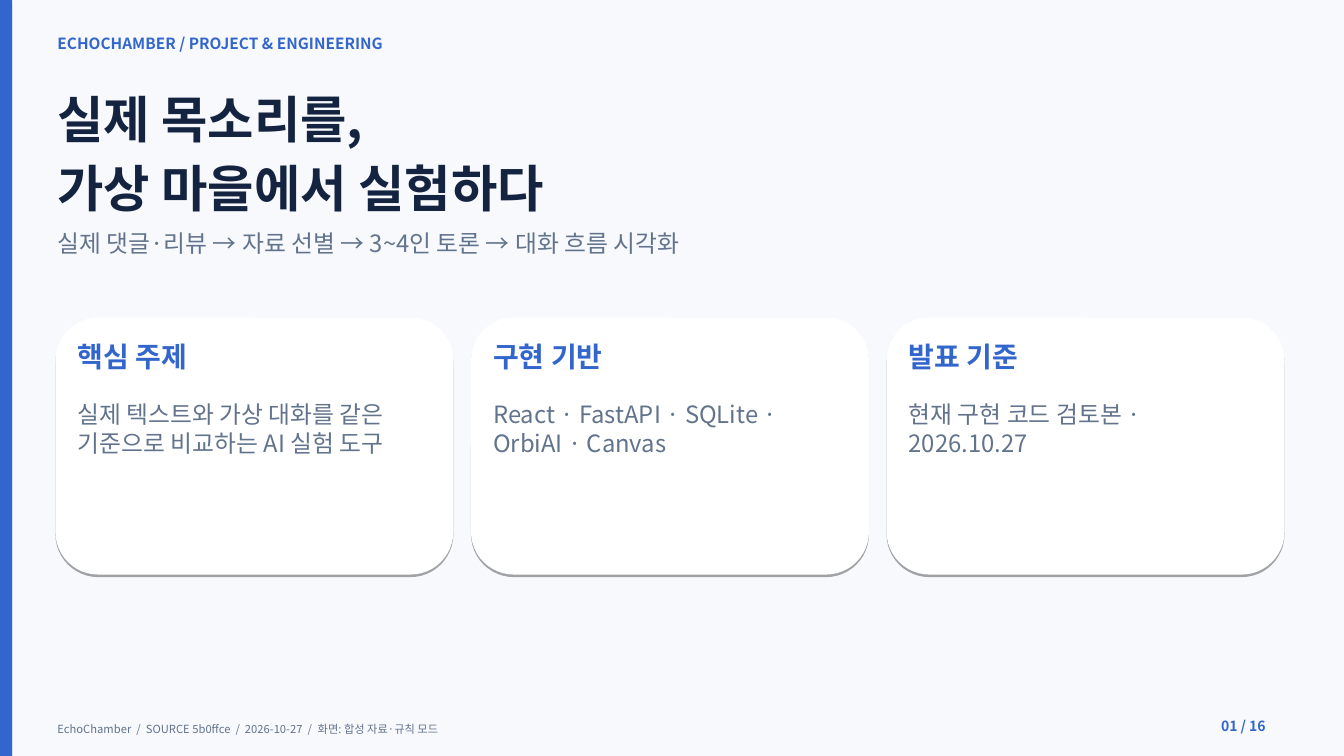
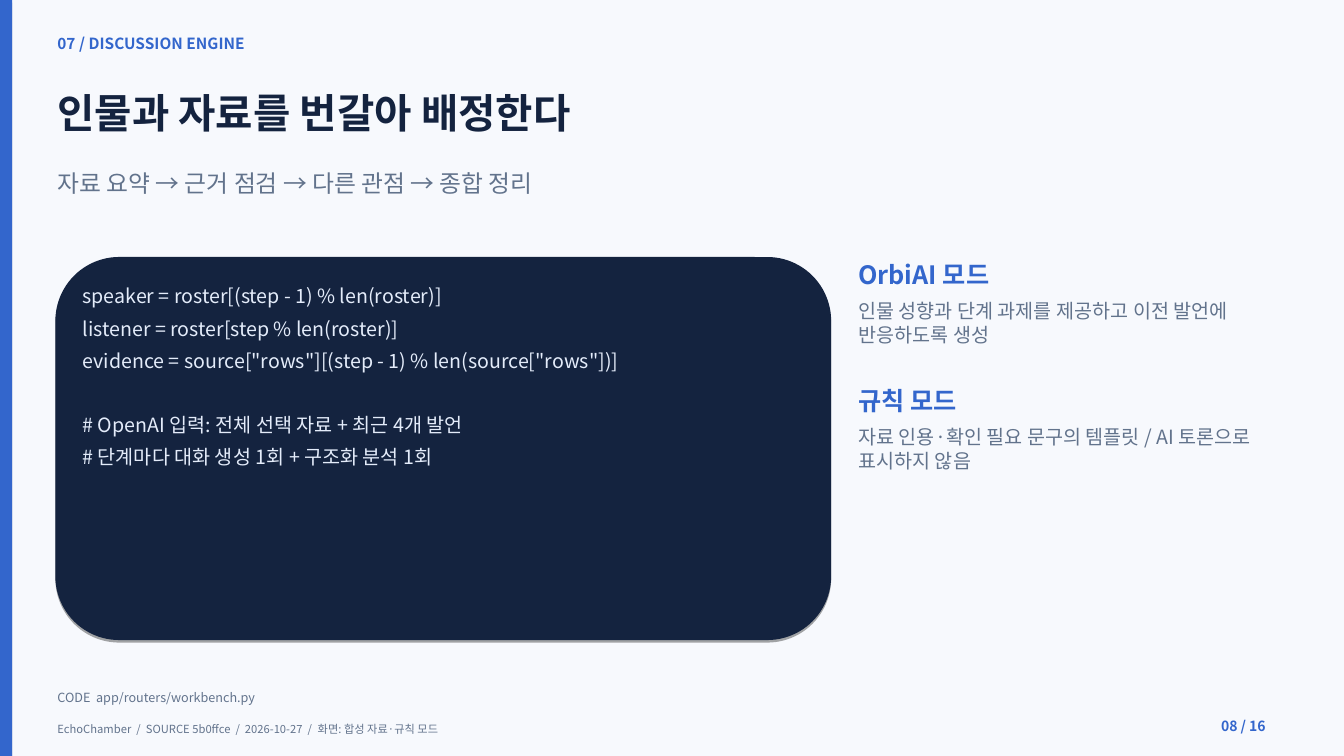
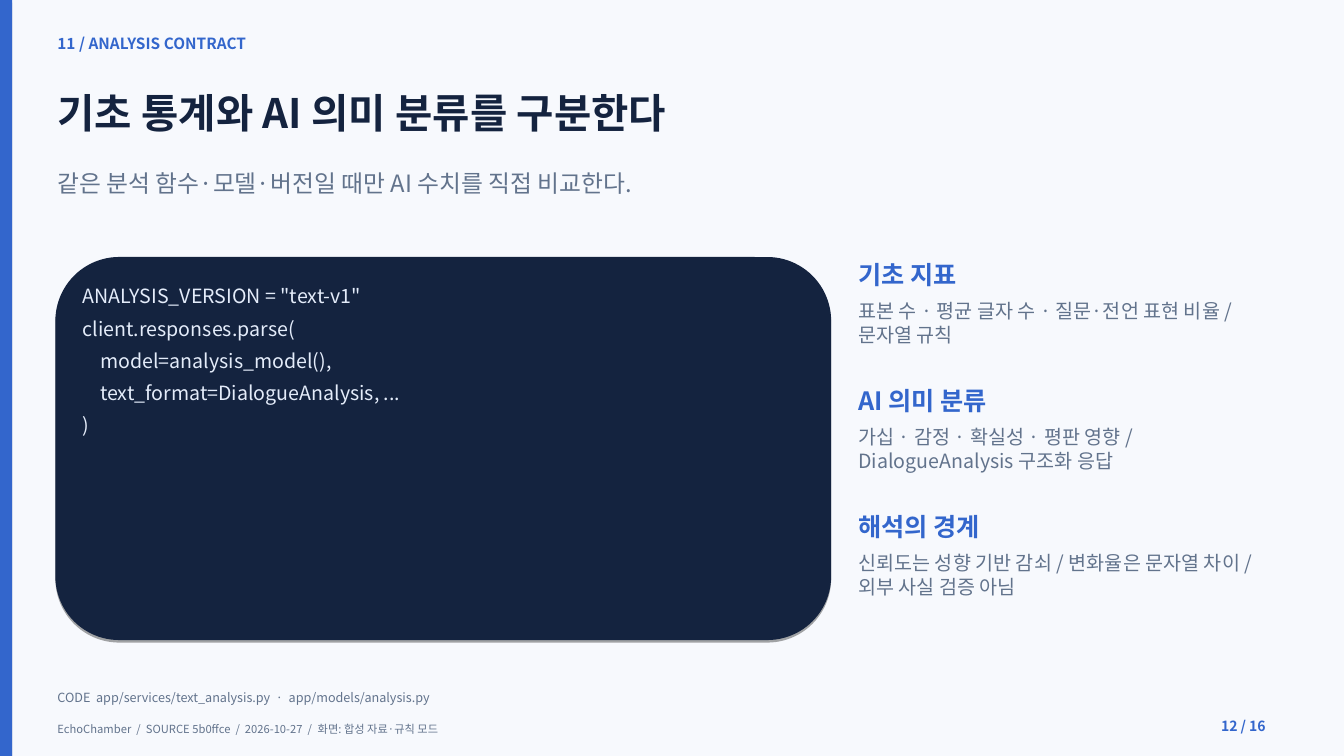
from dataclasses import dataclass

from lxml import etree
from pptx import Presentation
from pptx.dml.color import RGBColor
from pptx.enum.shapes import MSO_SHAPE
from pptx.enum.text import MSO_AUTO_SIZE
from pptx.oxml import parse_xml
from pptx.oxml.ns import nsdecls, qn
from pptx.util import Inches, Pt

RECTANGLE = MSO_SHAPE.RECTANGLE
ROUNDED = MSO_SHAPE.ROUNDED_RECTANGLE
FIT_TEXT = MSO_AUTO_SIZE.SHAPE_TO_FIT_TEXT

PAPER = RGBColor(0xF7, 0xF9, 0xFD)
BLUE = RGBColor(0x33, 0x66, 0xCC)
NAVY = RGBColor(0x14, 0x23, 0x3F)
SLATE = RGBColor(0x62, 0x73, 0x8C)
WHITE = RGBColor(0xFF, 0xFF, 0xFF)
ICE = RGBColor(0xE4, 0xEC, 0xFA)

FONT = "Noto Sans CJK KR"
FOOTER = "EchoChamber  /  SOURCE 5b0ffce  /  2026-10-27  /  화면: 합성 자료·규칙 모드"
PAGE_TOTAL = 16

# One grid cell is a square of this many inches.
CELL = 0.05
PAGE_COLUMNS, PAGE_ROWS = 266.8, 150
MARGIN = 11
TEXT_COLUMNS = 240
INSET = 0.4
PARAGRAPH_GAP = 6.2
CODE_BLOCK_GAP = 23

CARD_TOP, CARD_COLUMNS, CARD_ROWS, CARD_GAP, CARD_PADDING = 63, 79, 51, 3.5, 4
CODE_TOP, CODE_COLUMNS, CODE_ROWS, CODE_PADDING = 51, 154, 76, 5
NOTE_LEFT, NOTE_COLUMNS, NOTE_STEP = 170, 83, 25


@dataclass(frozen=True)
class Style:
    size: float
    color: RGBColor
    bold: bool = False


KICKER = Style(11, BLUE, True)
COVER_TITLE = Style(36, NAVY, True)
TITLE = Style(29, NAVY, True)
BODY = Style(17, SLATE)
CARD_HEADING = Style(20, BLUE, True)
CODE = Style(14, ICE)
NOTE_HEADING = Style(18, BLUE, True)
NOTE_BODY = Style(14, SLATE)
SOURCE = Style(9, SLATE)
FOOTER_STYLE = Style(8, SLATE)
PAGE_NUMBER = Style(10, BLUE, True)


@dataclass(frozen=True)
class Entry:
    heading: str
    body: str


@dataclass(frozen=True)
class Frame:
    """What every page carries around its content."""
    number: int
    kicker: str
    title: tuple[str, ...]
    title_style: Style
    lead: str
    lead_row: float


@dataclass(frozen=True)
class CodePage:
    frame: Frame
    code: tuple[tuple[str, ...], ...]
    notes: tuple[Entry, ...]
    source: str


COVER = Frame(1, "ECHOCHAMBER / PROJECT & ENGINEERING",
              ("실제 목소리를,", "가상 마을에서 실험하다"), COVER_TITLE,
              "실제 댓글·리뷰 → 자료 선별 → 3~4인 토론 → 대화 흐름 시각화", 45)
COVER_CARDS = (
    Entry("핵심 주제", "실제 텍스트와 가상 대화를 같은 기준으로 비교하는 AI 실험 도구"),
    Entry("구현 기반", "React · FastAPI · SQLite · OrbiAI · Canvas"),
    Entry("발표 기준", "현재 구현 코드 검토본 · 2026.10.27"),
)
CODE_PAGES = (
    CodePage(
        Frame(8, "07 / DISCUSSION ENGINE", ("인물과 자료를 번갈아 배정한다",), TITLE,
              "자료 요약 → 근거 점검 → 다른 관점 → 종합 정리", 33),
        (
            ("speaker = roster[(step - 1) % len(roster)]",
             "listener = roster[step % len(roster)]",
             'evidence = source["rows"][(step - 1) % len(source["rows"])]'),
            ("# OpenAI 입력: 전체 선택 자료 + 최근 4개 발언",
             "# 단계마다 대화 생성 1회 + 구조화 분석 1회"),
        ),
        (
            Entry("OrbiAI 모드", "인물 성향과 단계 과제를 제공하고 이전 발언에 반응하도록 생성"),
            Entry("규칙 모드", "자료 인용·확인 필요 문구의 템플릿 / AI 토론으로 표시하지 않음"),
        ),
        "CODE  app/routers/workbench.py",
    ),
    CodePage(
        Frame(12, "11 / ANALYSIS CONTRACT", ("기초 통계와 AI 의미 분류를 구분한다",), TITLE,
              "같은 분석 함수·모델·버전일 때만 AI 수치를 직접 비교한다.", 33),
        (
            ('ANALYSIS_VERSION = "text-v1"',
             "client.responses.parse(",
             "    model=analysis_model(),",
             "    text_format=DialogueAnalysis, ...",
             ")"),
        ),
        (
            Entry("기초 지표", "표본 수 · 평균 글자 수 · 질문·전언 표현 비율 / 문자열 규칙"),
            Entry("AI 의미 분류", "가십 · 감정 · 확실성 · 평판 영향 / DialogueAnalysis 구조화 응답"),
            Entry("해석의 경계", "신뢰도는 성향 기반 감쇠 / 변화율은 문자열 차이 / 외부 사실 검증 아님"),
        ),
        "CODE  app/services/text_analysis.py  ·  app/models/analysis.py",
    ),
)


def cells(count: float) -> int:
    return Inches(count * CELL)


def add_panel(page, kind, left: float, top: float, columns: float, rows: float,
              color: RGBColor) -> None:
    """Draw a borderless filled shape with a thin shadow under it."""
    panel = page.shapes.add_shape(kind, cells(left), cells(top), cells(columns), cells(rows))
    panel.fill.solid()
    panel.fill.fore_color.rgb = color
    panel.line.fill.background()
    shadow = parse_xml(
        f'<a:effectLst {nsdecls("a")}><a:outerShdw blurRad="0" dist="{Pt(1.8)}" dir="5400000" '
        'rotWithShape="0"><a:srgbClr val="000000"><a:alpha val="35000"/></a:srgbClr>'
        '</a:outerShdw></a:effectLst>')
    panel.element.spPr.append(shadow)


def add_text(page, left: float, top: float, columns: float, style: Style,
             *blocks: tuple[str, ...], lines: int = 0) -> None:
    """Write blocks of paragraphs; lines is the height when the text wraps."""
    count = lines or sum(len(block) for block in blocks) + len(blocks) - 1
    rows = count * style.size * 1.2 / 72 / CELL + 2 * INSET
    box = page.shapes.add_textbox(cells(left), cells(top), cells(columns), cells(rows))
    frame = box.text_frame
    frame.word_wrap = True
    frame.auto_size = FIT_TEXT
    frame.margin_left = frame.margin_right = cells(INSET)
    frame.margin_top = frame.margin_bottom = cells(INSET)
    for block_index, block in enumerate(blocks):
        for line_index, text in enumerate(block):
            first = block_index == line_index == 0
            para = frame.paragraphs[0] if first else frame.add_paragraph()
            para.space_after = Pt(PARAGRAPH_GAP)
            if block_index and not line_index:
                para.space_before = Pt(CODE_BLOCK_GAP)
            span = para.add_run()
            span.text = text
            span.font.size = Pt(style.size)
            span.font.bold = style.bold
            span.font.color.rgb = style.color
            span.font.name = FONT
            etree.SubElement(span.font._element, qn("a:ea"), typeface=FONT)


def add_page(deck, frame: Frame):
    page = deck.slides.add_slide(deck.slide_layouts[6])
    page.background.fill.solid()
    page.background.fill.fore_color.rgb = PAPER
    add_panel(page, RECTANGLE, 0, 0, 2.4, PAGE_ROWS, BLUE)
    add_text(page, MARGIN, 6.4, TEXT_COLUMNS, KICKER, (frame.kicker,))
    add_text(page, MARGIN, 17, TEXT_COLUMNS, frame.title_style, frame.title)
    add_text(page, MARGIN, frame.lead_row, TEXT_COLUMNS, BODY, (frame.lead,))
    add_text(page, MARGIN, 143, 236, FOOTER_STYLE, (FOOTER,))
    add_text(page, 242, 142, 14, PAGE_NUMBER, (f"{frame.number:02} / {PAGE_TOTAL}",))
    return page


def add_cover(deck) -> None:
    page = add_page(deck, COVER)
    for index, card in enumerate(COVER_CARDS):
        left = MARGIN + index * (CARD_COLUMNS + CARD_GAP)
        inner_left = left + CARD_PADDING
        inner_columns = CARD_COLUMNS - 2 * CARD_PADDING
        add_panel(page, ROUNDED, left, CARD_TOP, CARD_COLUMNS, CARD_ROWS, WHITE)
        add_text(page, inner_left, CARD_TOP + CARD_PADDING, inner_columns,
                 CARD_HEADING, (card.heading,))
        add_text(page, inner_left, CARD_TOP + 16, inner_columns, BODY, (card.body,), lines=2)


def add_code_page(deck, content: CodePage) -> None:
    page = add_page(deck, content.frame)
    add_panel(page, ROUNDED, MARGIN, CODE_TOP, CODE_COLUMNS, CODE_ROWS, NAVY)
    add_text(page, MARGIN + CODE_PADDING, CODE_TOP + CODE_PADDING,
             CODE_COLUMNS - 2 * CODE_PADDING, CODE, *content.code)
    for index, note in enumerate(content.notes):
        top = CODE_TOP + index * NOTE_STEP
        add_text(page, NOTE_LEFT, top, NOTE_COLUMNS, NOTE_HEADING, (note.heading,))
        add_text(page, NOTE_LEFT, top + 8, NOTE_COLUMNS, NOTE_BODY, (note.body,), lines=2)
    add_text(page, MARGIN, 136.4, 234, SOURCE, (content.source,))


def main() -> None:
    deck = Presentation()
    deck.slide_width, deck.slide_height = cells(PAGE_COLUMNS), cells(PAGE_ROWS)
    add_cover(deck)
    for content in CODE_PAGES:
        add_code_page(deck, content)
    deck.save("out.pptx")


if __name__ == "__main__":
    main()
